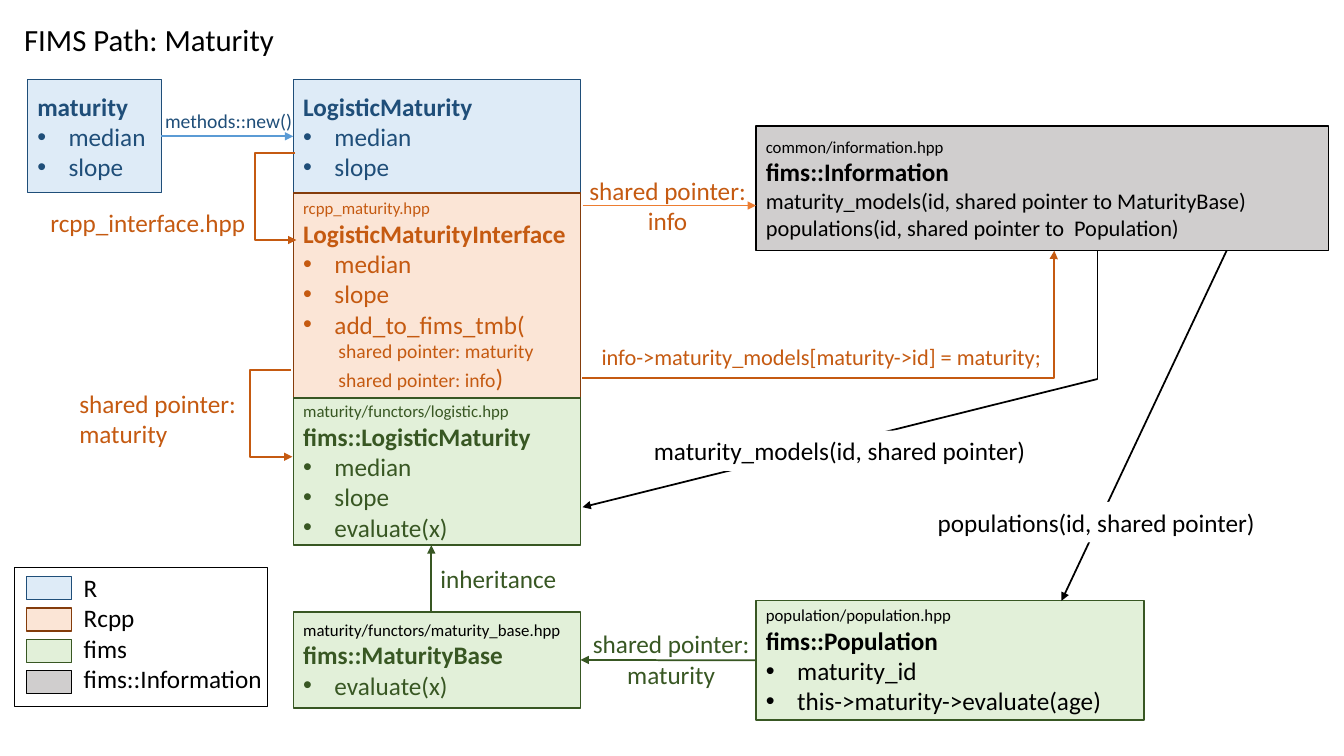
from pptx import Presentation
from pptx.dml.color import RGBColor as RGB
from pptx.enum.shapes import MSO_CONNECTOR as LINK, MSO_SHAPE as SHAPE
from pptx.enum.text import MSO_ANCHOR as ANCHOR, PP_ALIGN as ALIGN
from pptx.oxml.ns import qn
from pptx.util import Cm, Pt
from lxml.etree import SubElement as sub

BLACK = RGB(0, 0, 0)
WHITE = RGB(255, 255, 255)
NAVY = RGB(0x1F, 0x4E, 0x79)
SKY = RGB(0x5B, 0x9B, 0xD5)
RUST = RGB(0xC5, 0x5A, 0x11)
AMBER = RGB(0xED, 0x7D, 0x31)
GREEN = RGB(0x38, 0x57, 0x23)

R = (RGB(0xDE, 0xEB, 0xF7), NAVY)
RCPP = (RGB(0xFB, 0xE5, 0xD6), RGB(0x84, 0x3C, 0x0B))
FIMS = (RGB(0xE2, 0xF0, 0xD9), GREEN)
INFO = (RGB(0xD0, 0xCE, 0xCE), BLACK)
PLAIN = (WHITE, BLACK)

STYLES = {"file": (12, False), "name": (18, True), "item": (18, False),
          "call": (16, False), "arg": (14, False)}


def cms(*nums):
    return [Cm(num) for num in nums]


def style(run, size, color, bold=False):
    font = run.font
    font.name = "Calibri"
    font.size = Pt(size)
    font.bold = bold
    font.color.rgb = color


def indent(para, left, bullet=False):
    props = para._p.get_or_add_pPr()
    props.set("marL", str(Cm(left)))
    if bullet:
        props.set("indent", str(-Cm(left)))
        sub(props, qn("a:buFont"), typeface="Arial")
        sub(props, qn("a:buChar"), char="•")


def panel(slide, box, look):
    rect = slide.shapes.add_shape(SHAPE.RECTANGLE, *cms(*box))
    rect.shadow.inherit = False
    rect.fill.solid()
    rect.fill.fore_color.rgb = look[0]
    rect.line.color.rgb = look[1]
    rect.line.width = Pt(1)
    return rect


def card(slide, box, look, color, rows, top=None):
    rect = panel(slide, box, look)
    frame = rect.text_frame
    frame.word_wrap = True
    frame.vertical_anchor = ANCHOR.MIDDLE
    frame.text = "\n".join(text for kind, text in rows)
    for para, (kind, text) in zip(frame.paragraphs, rows):
        para.alignment = ALIGN.LEFT
        size, bold = STYLES[kind]
        ink = top if top is not None and kind == "file" else color
        style(para.runs[0], size, ink, bold)
        if kind == "item":
            indent(para, 0.79, True)
        elif kind == "arg":
            indent(para, 0.89)
    return rect


def label(slide, box, text, color, size=18, align=ALIGN.LEFT, fill=None):
    area = slide.shapes.add_textbox(*cms(*box))
    if fill is not None:
        area.fill.solid()
        area.fill.fore_color.rgb = fill
    frame = area.text_frame
    frame.word_wrap = True
    frame.text = text
    for para in frame.paragraphs:
        para.alignment = align
        style(para.runs[0], size, color)


def link(slide, ends, color, head=True, mid=None):
    kind = LINK.STRAIGHT if mid is None else LINK.ELBOW
    wire = slide.shapes.add_connector(kind, *cms(*ends))
    wire.line.color.rgb = color
    wire.line.width = Pt(1.25)
    props = wire._element.spPr
    if head:
        sub(props.find(qn("a:ln")), qn("a:tailEnd"), type="triangle")
    sub(props, qn("a:effectLst"))
    if mid is not None:
        ratio = (mid - ends[0]) / (ends[2] - ends[0])
        guides = props.find(qn("a:prstGeom")).find(qn("a:avLst"))
        sub(guides, qn("a:gd"), name="adj1", fmla=f"val {round(ratio * 100000)}")
    return wire


def join(slide, start, side, end, face, color):
    wire = link(slide, (0, 0, 1, 1), color)
    wire.begin_connect(start, side)
    wire.end_connect(end, face)


def legend(slide, box):
    left, top, wide, high = box
    panel(slide, box, PLAIN)
    names = ("R", "Rcpp", "fims", "fims::Information")
    label(slide, (left + 1.5, top, wide - 1.15, high - 0.18), "\n".join(names), BLACK)
    for row, look in enumerate((R, RCPP, FIMS, INFO)):
        panel(slide, (left + 0.31, top + 0.23 + 0.79 * row, 1.14, 0.58), look)


def stack(slide, left, wide):
    pair = [("item", "median"), ("item", "slope")]
    model = card(slide, (left, 2.01, wide, 2.85), R, NAVY,
                 [("name", "LogisticMaturity")] + pair)
    face = card(slide, (left, 4.86, wide, 5.17), RCPP, RUST,
                [("file", "rcpp_maturity.hpp"), ("name", "LogisticMaturityInterface")]
                + pair + [("item", "add_to_fims_tmb("), ("arg", "shared pointer: maturity"),
                          ("arg", "shared pointer: info")])
    close = face.text_frame.paragraphs[-1].add_run()
    close.text = ")"
    style(close, 18, RUST)
    card(slide, (left, 10.03, wide, 3.71), FIMS, GREEN,
         [("file", "maturity/functors/logistic.hpp"), ("name", "fims::LogisticMaturity")]
         + pair + [("item", "evaluate(x)")])
    base = card(slide, (left, 15.42, wide, 2.42), FIMS, GREEN,
                [("file", "maturity/functors/maturity_base.hpp"),
                 ("name", "fims::MaturityBase"), ("item", "evaluate(x)")], BLACK)
    start = card(slide, (0.69, 2.01, 3.38, 2.85), R, NAVY, [("name", "maturity")] + pair)
    join(slide, start, 3, model, 1, SKY)
    return base


def stores(slide, left):
    card(slide, (left, 3.18, 14.43, 3.14), INFO, BLACK,
         [("file", "common/information.hpp"), ("name", "fims::Information"),
          ("call", "maturity_models(id, shared pointer to MaturityBase)"),
          ("call", "populations(id, shared pointer to  Population)")])
    return card(slide, (left, 15.14, 9.78, 3), FIMS, BLACK,
                [("file", "population/population.hpp"), ("name", "fims::Population"),
                 ("item", "maturity_id"), ("item", "this->maturity->evaluate(age)")])


def wires(slide):
    link(slide, (7.44, 3.86, 7.47, 6.05), RUST, mid=6.43)
    link(slide, (7.34, 9.32, 7.37, 11.51), RUST, mid=6.3)
    link(slide, (14.68, 9.53, 26.57, 6.32), RUST, mid=26.56)
    link(slide, (10.87, 15.42, 10.87, 13.74), GREEN)
    link(slide, (14.68, 5.18, 19.05, 5.18), AMBER)
    link(slide, (27.66, 6.32, 27.66, 9.55), BLACK, head=False)
    link(slide, (27.66, 9.55, 14.68, 12.78), BLACK)
    link(slide, (30.91, 6.32, 26.75, 15.14), BLACK)


def notes(slide):
    mid = ALIGN.CENTER
    label(slide, (0.36, 0.41, 10.16, 1.19), "FIMS Path: Maturity", BLACK, 22)
    label(slide, (3.91, 2.62, 4.01, 0.86), "methods::new()", NAVY, 14)
    label(slide, (1.02, 5.11, 6.1, 1.02), "rcpp_interface.hpp", RUST)
    label(slide, (1.75, 9.65, 4.98, 1.8), "shared pointer: maturity", RUST)
    label(slide, (14.12, 4.29, 5.41, 1.8), "shared pointer:\ninfo", RUST, align=mid)
    label(slide, (14.91, 8.53, 11.66, 0.94),
          "info->maturity_models[maturity->id] = maturity;", RUST, 16)
    label(slide, (10.85, 14.07, 4.27, 1.02), "inheritance", GREEN)
    label(slide, (14.68, 15.72, 4.47, 1.8), "shared pointer: maturity", GREEN, align=mid)
    label(slide, (16.03, 10.85, 10.26, 1.02), "maturity_models(id, shared pointer)",
          BLACK, align=mid, fill=WHITE)
    label(slide, (22.5, 12.65, 10.26, 1.02), "populations(id, shared pointer)",
          BLACK, align=mid, fill=WHITE)


def main():
    deck = Presentation()
    deck.slide_width, deck.slide_height = cms(33.87, 19.05)
    slide = deck.slides.add_slide(deck.slide_layouts[6])
    base = stack(slide, 7.39, 7.24)
    people = stores(slide, 19.05)
    join(slide, people, 1, base, 3, GREEN)
    legend(slide, (0.36, 14.3, 6.38, 3.51))
    wires(slide)
    notes(slide)
    deck.save("out.pptx")


if __name__ == "__main__":
    main()
